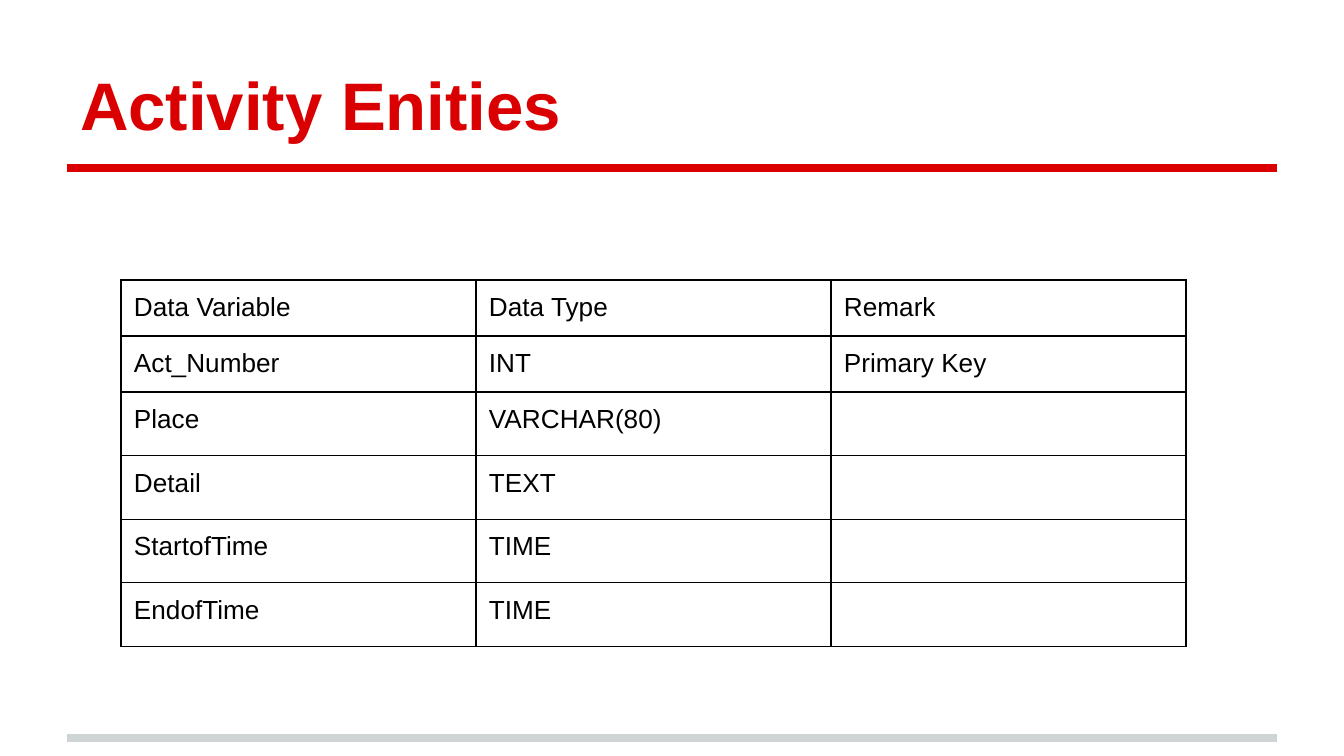
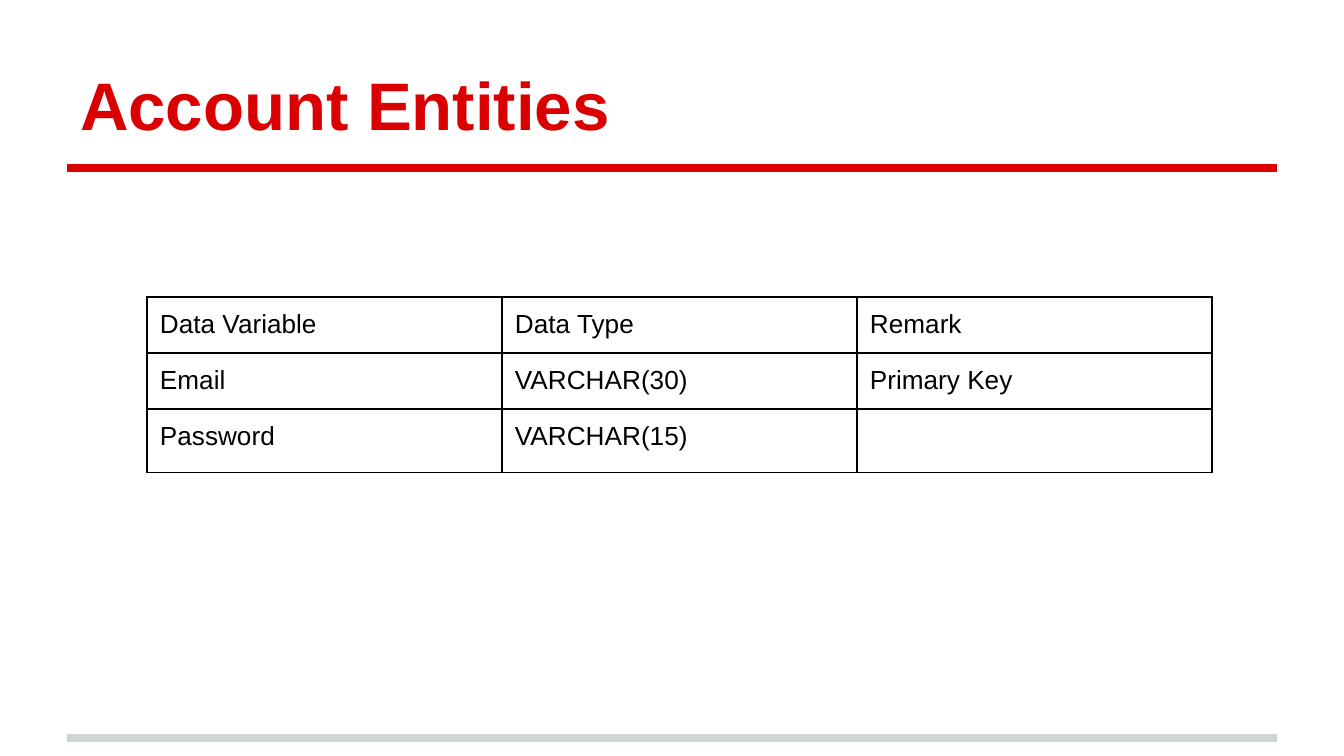
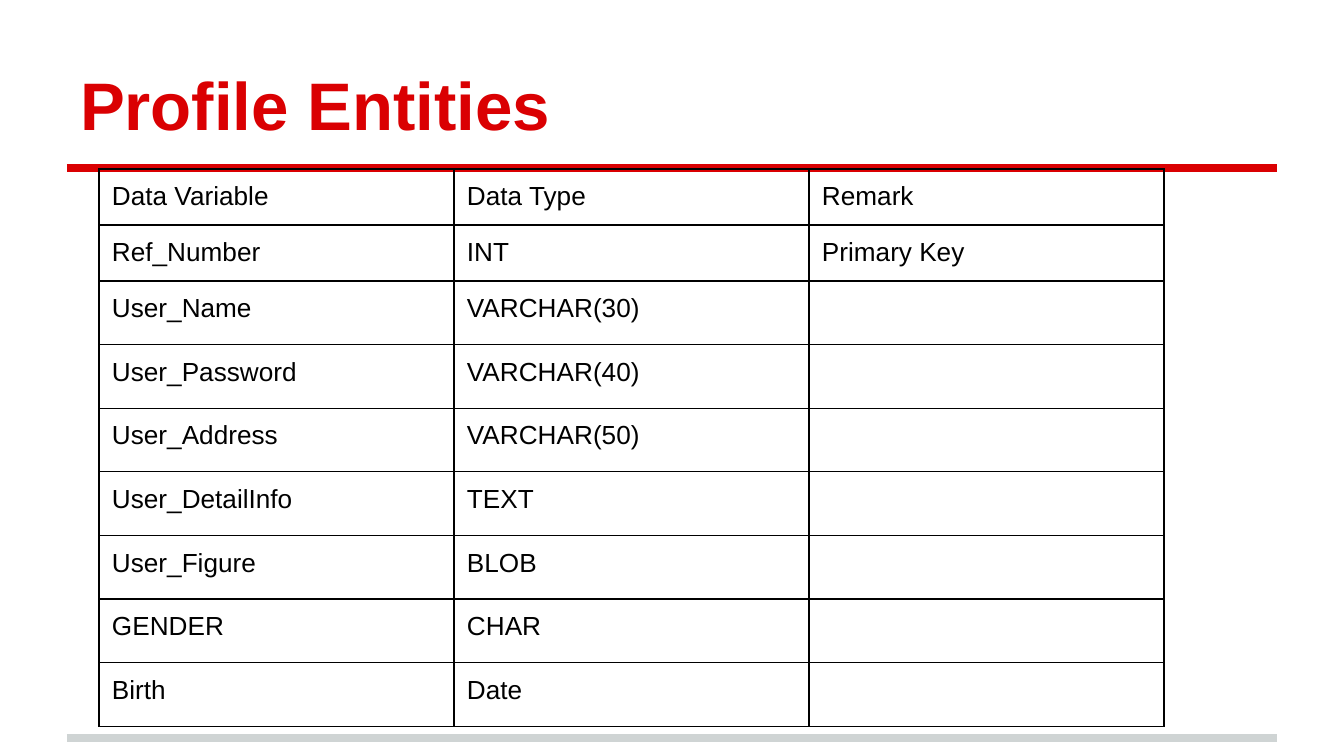
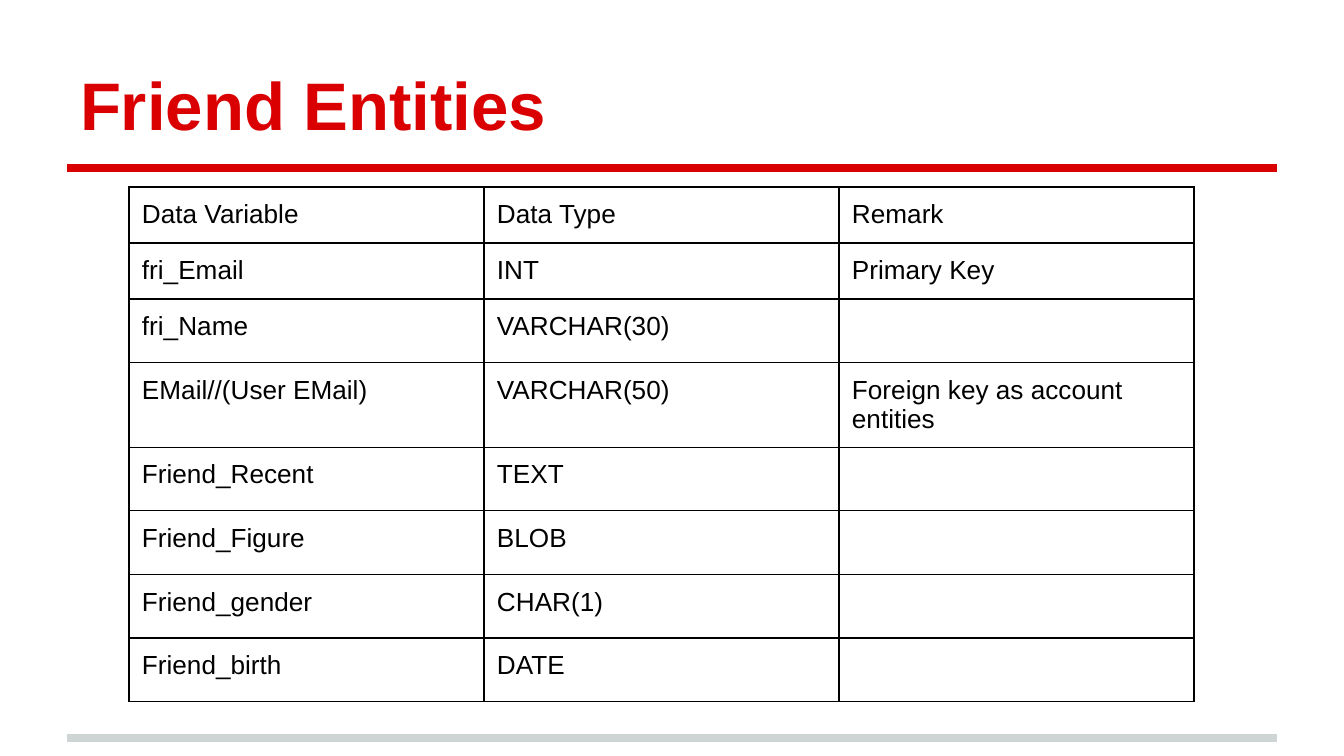
from lxml.etree import SubElement
from pptx import Presentation
from pptx.dml.color import RGBColor
from pptx.enum.shapes import MSO_CONNECTOR as Connector
from pptx.enum.text import MSO_ANCHOR as Anchor, MSO_AUTO_SIZE as AutoSize, PP_ALIGN as Align
from pptx.oxml.ns import qn
from pptx.util import Pt

# Content: title, table position in px, rows below the shared header
HEADER = ("Data Variable", "Data Type", "Remark")
ENTITIES = [
    ("Activity Enities", (121, 280), [
        ("Act_Number", "INT", "Primary Key"),
        ("Place", "VARCHAR(80)", ""),
        ("Detail", "TEXT", ""),
        ("StartofTime", "TIME", ""),
        ("EndofTime", "TIME", ""),
    ]),
    ("Account Entities", (147, 297), [
        ("Email", "VARCHAR(30)", "Primary Key"),
        ("Password", "VARCHAR(15)", ""),
    ]),
    ("Profile Entities", (99, 169), [
        ("Ref_Number", "INT", "Primary Key"),
        ("User_Name", "VARCHAR(30)", ""),
        ("User_Password", "VARCHAR(40)", ""),
        ("User_Address", "VARCHAR(50)", ""),
        ("User_DetailInfo", "TEXT", ""),
        ("User_Figure", "BLOB", ""),
        ("GENDER", "CHAR", ""),
        ("Birth", "Date", ""),
    ]),
    ("Friend Entities", (129, 187), [
        ("fri_Email", "INT", "Primary Key"),
        ("fri_Name", "VARCHAR(30)", ""),
        ("EMail//(User EMail)", "VARCHAR(50)", "Foreign key as account entities"),
        ("Friend_Recent", "TEXT", ""),
        ("Friend_Figure", "BLOB", ""),
        ("Friend_gender", "CHAR(1)", ""),
        ("Friend_birth", "DATE", ""),
    ]),
]

# Shared style, lengths in px
COLORS = {"accent": "DA0002", "footer": "CFD4D4", "ink": "000000"}
FONT = "Arial"
PAGE = (1344, 756)
LEFT, RIGHT = 67, 1277
TITLE_BOX = (LEFT, 31, RIGHT - LEFT, 126)
RULES = [(738, "footer"), (168, "accent")]
COLUMN_WIDTH, ROW_HEIGHT = 355, 56
INSET = 13


def px(length):
    return round(length * 914400 / 134.4)


def style_font(para, size, color, bold=False):
    font = para.font
    font.name, font.size, font.bold = FONT, Pt(size), bold
    font.color.rgb = RGBColor.from_string(COLORS[color])


def set_insets(target):
    target.margin_left = target.margin_right = px(INSET)
    target.margin_top = target.margin_bottom = px(INSET)


def add_rule(page, y, color):
    rule = page.shapes.add_connector(Connector.STRAIGHT, px(LEFT), px(y), px(RIGHT), px(y))
    rule.line.color.rgb = RGBColor.from_string(COLORS[color])
    rule.line.width = Pt(4)
    SubElement(rule._element.spPr, qn("a:effectLst"))


def set_title(page, text):
    title = page.shapes.title
    title.left, title.top, title.width, title.height = map(px, TITLE_BOX)
    frame = title.text_frame
    frame.text = text
    frame.auto_size = AutoSize.NONE
    frame.word_wrap = True
    frame.vertical_anchor = Anchor.BOTTOM
    set_insets(frame)
    para = frame.paragraphs[0]
    para.alignment = Align.LEFT
    style_font(para, 36, "accent", bold=True)


def add_borders(cell):
    properties = cell._tc.get_or_add_tcPr()
    for side in ("lnL", "lnR", "lnT", "lnB"):
        border = SubElement(properties, qn(f"a:{side}"), w=str(Pt(0.75)))
        fill = SubElement(border, qn("a:solidFill"))
        SubElement(fill, qn("a:srgbClr"), val=COLORS["ink"])


def add_entity_table(page, position, rows):
    left, top = position
    columns = len(HEADER)
    table = page.shapes.add_table(
        len(rows), columns, px(left), px(top),
        px(COLUMN_WIDTH * columns), px(ROW_HEIGHT * len(rows))).table
    table.first_row = table.horz_banding = False
    for column in table.columns:
        column.width = px(COLUMN_WIDTH)
    for row, texts in zip(table.rows, rows):
        row.height = px(ROW_HEIGHT)
        for cell, text in zip(row.cells, texts):
            cell.text = text
            set_insets(cell)
            add_borders(cell)
            cell.fill.background()
            # Blank remarks keep the larger default size, so their rows grow
            style_font(cell.text_frame.paragraphs[0], 14 if text else 18, "ink")


def main():
    deck = Presentation()
    deck.slide_width, deck.slide_height = map(px, PAGE)
    title_only = deck.slide_layouts[5]
    for title, position, rows in ENTITIES:
        page = deck.slides.add_slide(title_only)
        for y, color in RULES:
            add_rule(page, y, color)
        set_title(page, title)
        add_entity_table(page, position, [HEADER, *rows])
    deck.save("out.pptx")


if __name__ == "__main__":
    main()
